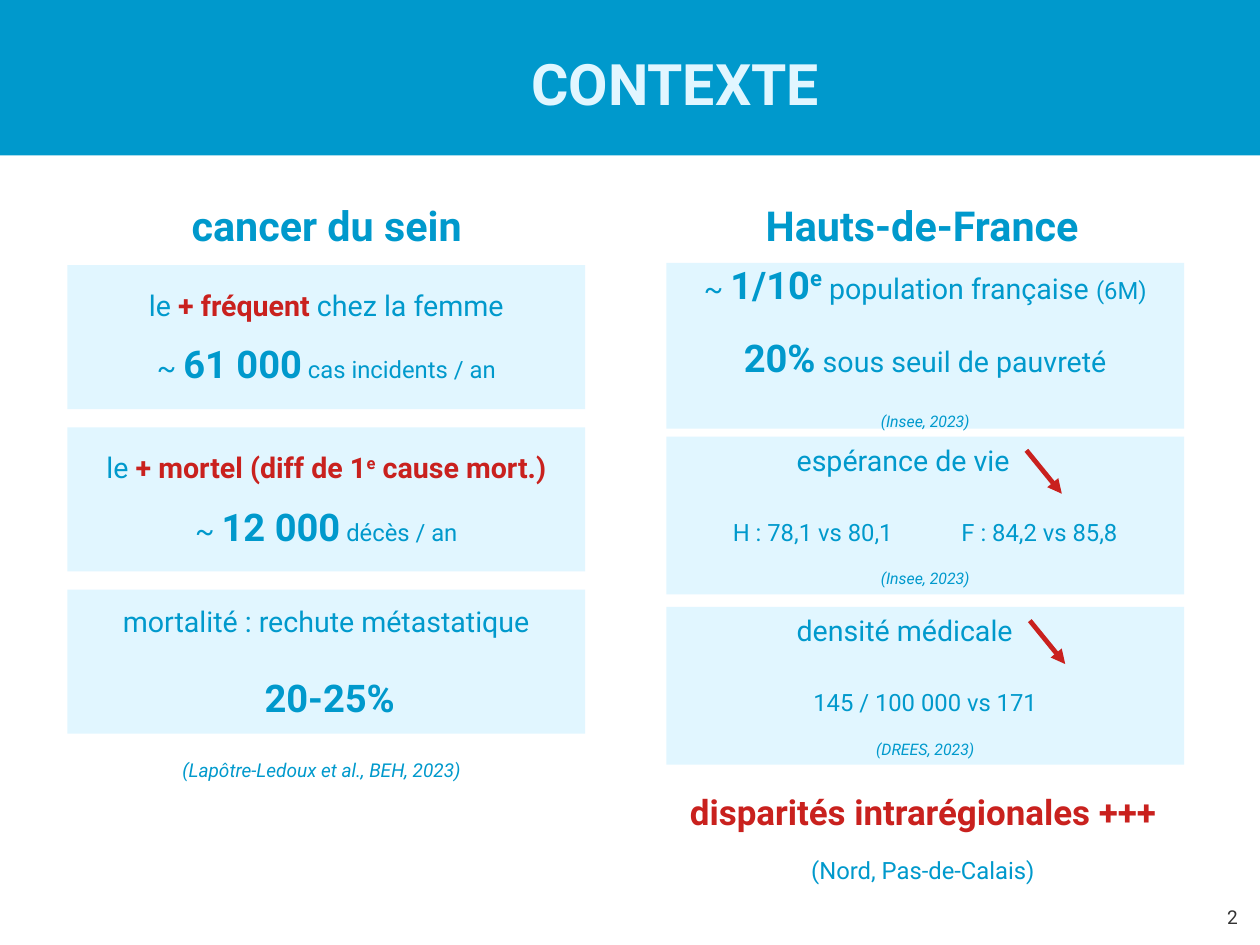
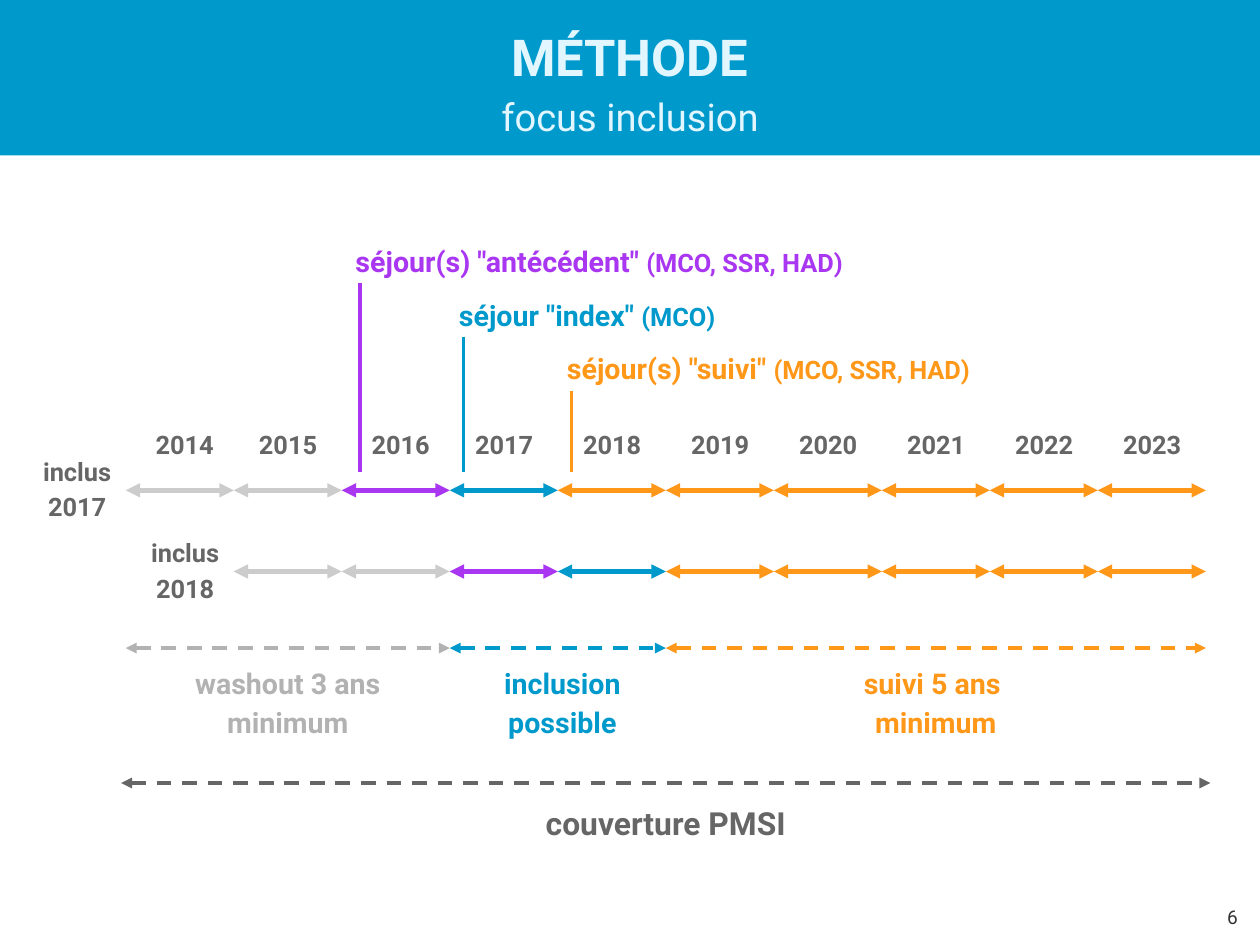
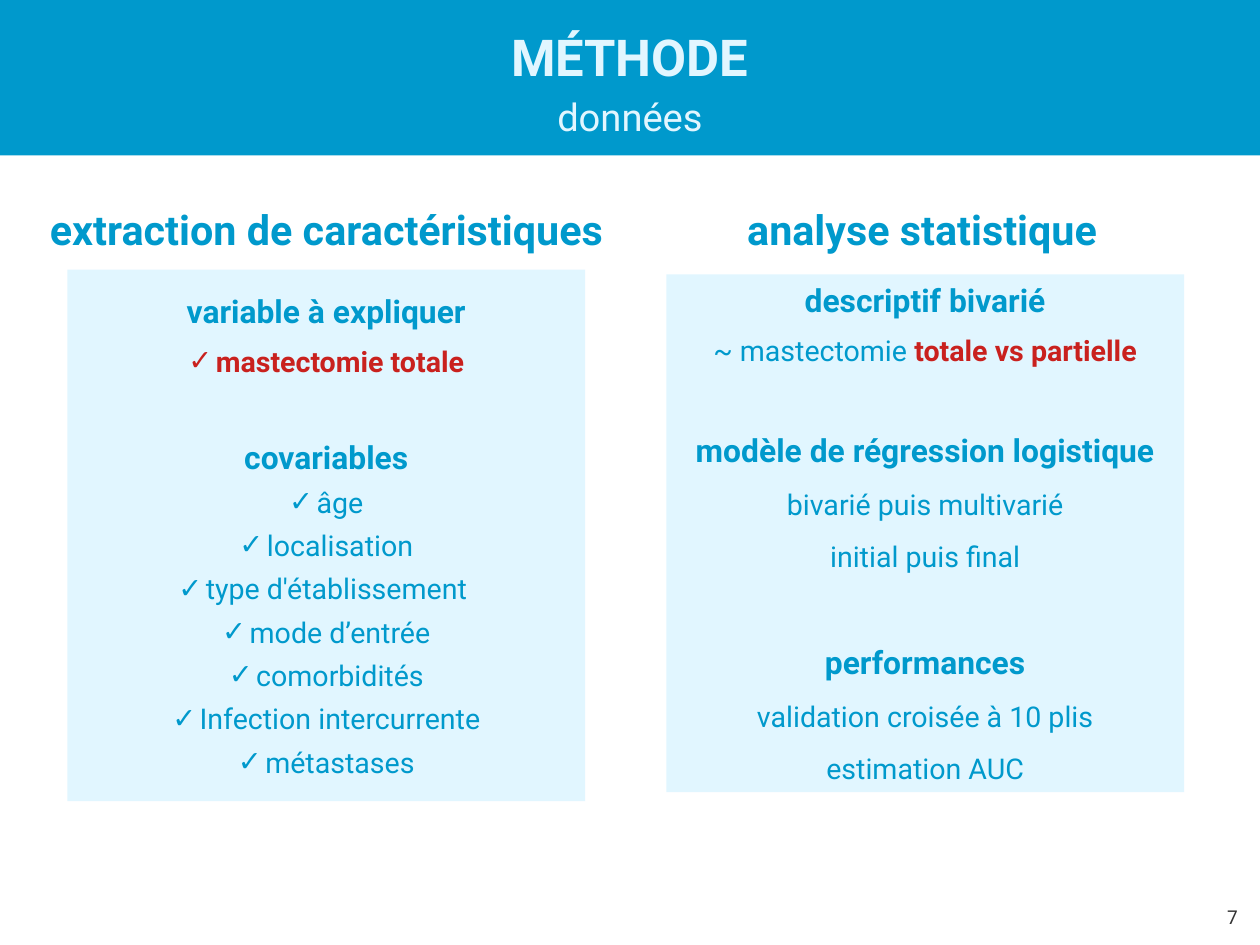
import pptx
import pptx.util
import pptx.dml.color
import pptx.enum.dml
import pptx.enum.shapes
import pptx.enum.text
import pptx.oxml.ns
import lxml.etree

FONT = "Roboto"
BLUE, PALE, RED = "0099CC", "E1F6FF", "C9211E"
ORANGE, PURPLE = "FF9719", "A936F1"
DARK, SILVER, LIGHT, INK = "666666", "B2B2B2", "CCCCCC", "333333"
COLUMNS, COLUMN_WIDTH = (0.59, 5.83), 4.53
HEADING_CENTRES, HEADING_WIDTH = (2.86, 8.07), 5.12

inches, points = pptx.util.Inches, pptx.util.Pt
qn = pptx.oxml.ns.qn
hex_color = pptx.dml.color.RGBColor.from_string
ALIGNMENTS = {
    "l": pptx.enum.text.PP_ALIGN.LEFT,
    "c": pptx.enum.text.PP_ALIGN.CENTER,
    "r": pptx.enum.text.PP_ALIGN.RIGHT,
}
BOTH_ENDS = ("headEnd", "tailEnd")


def add_box(page, left, top, width, height, paragraphs, fill=None):
    """Add a middle-anchored text box, or a rectangle when a fill is given.

    A paragraph is a dict: "runs" holds (text, size, colour, style) tuples, where
    style may contain b (bold), i (italic) and ^ (superscript). Other keys:
    before, after, spacing, align, indent, hanging, bullet (its colour).
    """
    place = [inches(length) for length in (left, top, width, height)]
    if fill:
        box = page.shapes.add_shape(pptx.enum.shapes.MSO_SHAPE.RECTANGLE, *place)
        box.shadow.inherit = False
        box.fill.solid()
        box.fill.fore_color.rgb = hex_color(fill)
        box.line.fill.background()
    else:
        box = page.shapes.add_textbox(*place)
    frame = box.text_frame
    frame.word_wrap = True
    frame.vertical_anchor = pptx.enum.text.MSO_ANCHOR.MIDDLE
    frame.margin_left = frame.margin_right = frame.margin_top = frame.margin_bottom = 0

    for index, content in enumerate(paragraphs):
        para = frame.paragraphs[0] if index == 0 else frame.add_paragraph()
        properties = para._p.get_or_add_pPr()
        properties.set("marL", str(inches(content.get("indent", 0))))
        properties.set("indent", str(inches(content.get("hanging", 0))))
        if "bullet" in content:
            bullet_color = lxml.etree.SubElement(properties, qn("a:buClr"))
            lxml.etree.SubElement(bullet_color, qn("a:srgbClr"), val=content["bullet"])
            lxml.etree.SubElement(properties, qn("a:buFont"), typeface=FONT)
            lxml.etree.SubElement(properties, qn("a:buChar"), char="✓")
        para.alignment = ALIGNMENTS[content.get("align", "c")]
        para.line_spacing = content.get("spacing", 1.0)
        para.space_before = points(content.get("before", 0))
        para.space_after = points(content.get("after", 0))
        for text, size, color, style in content["runs"]:
            for number, piece in enumerate(text.split("\n")):
                if number:
                    para.add_line_break()
                if not piece:
                    continue
                span = para.add_run()
                span.text = piece
                span.font.name = FONT
                span.font.size = points(size)
                span.font.bold = "b" in style
                span.font.italic = "i" in style
                span.font.color.rgb = hex_color(color)
                if "^" in style:
                    span.font._element.set("baseline", "33000")


def add_line(page, start, end, color, weight, ends=(), dashed=False):
    """Draw a straight line; ends names the tips with a triangle (headEnd, tailEnd)."""
    line = page.shapes.add_connector(
        pptx.enum.shapes.MSO_CONNECTOR.STRAIGHT,
        *[inches(length) for length in (*start, *end)])
    line.line.color.rgb = hex_color(color)
    line.line.width = points(weight)
    if dashed:
        line.line.dash_style = pptx.enum.dml.MSO_LINE.DASH
    properties = line._element.spPr
    outline = properties.find(qn("a:ln"))
    for tip in ends:
        lxml.etree.SubElement(outline, qn("a:" + tip), type="triangle")
    lxml.etree.SubElement(properties, qn("a:effectLst"))


deck = pptx.Presentation()
deck.slide_width, deck.slide_height = pptx.util.Cm(28), pptx.util.Cm(21)
page_width = deck.slide_width.inches

# Title band, page number and column headings
page_frames = [
    ([("CONTEXTE", 36, PALE, "b")], 0.79, "2", 1.69,
     ("cancer du sein", "Hauts-de-France")),
    ([("MÉTHODE\n", 32, PALE, "b"), ("focus inclusion", 24, PALE, "")], 0, "6", 0, ()),
    ([("MÉTHODE\n", 32, PALE, "b"), ("données", 24, PALE, "")], 0, "7", 1.73,
     ("extraction de caractéristiques", "analyse statistique")),
]
pages = []
for title, indent, number, heading_top, headings in page_frames:
    page = deck.slides.add_slide(deck.slide_layouts[6])
    add_box(page, 0, 0, page_width, 1.36,
            [{"runs": title, "indent": indent, "spacing": 1.15}], BLUE)
    add_box(page, 8.26, 7.91, 2.57, 0.23,
            [{"runs": [(number, 12, INK, "")], "align": "r"}])
    for centre, heading in zip(HEADING_CENTRES, headings):
        add_box(page, centre - HEADING_WIDTH / 2, heading_top, HEADING_WIDTH, 0.55,
                [{"runs": [(heading, 26, BLUE, "b")]}])
    pages.append(page)
context, inclusion, data = pages

# Context: breast cancer figures
cancer_panels = [
    [{"runs": [("le ", 18, BLUE, ""), ("+ fréquent", 18, RED, "b"),
               (" chez la femme", 18, BLUE, "")]},
     {"before": 11.9, "runs": [("~ ", 18, BLUE, ""), ("61 000", 24, BLUE, "b"),
                               (" cas incidents / an", 15, BLUE, "")]}],
    [{"runs": [("le ", 18, BLUE, ""), ("+ mortel (diff de 1", 18, RED, "b"),
               ("e", 18, RED, "b^"), (" cause mort.)", 18, RED, "b")]},
     {"before": 11.9, "runs": [("~ ", 18, BLUE, ""), ("12 000", 24, BLUE, "b"),
                               (" décès / an", 15, BLUE, "")]}],
    [{"after": 8.5, "runs": [("mortalité : rechute métastatique", 18, BLUE, "")]},
     {"before": 14.2, "indent": 0.06, "runs": [("20-25%", 24, BLUE, "b")]}],
]
for row, panel in enumerate(cancer_panels):
    add_box(context, COLUMNS[0], 2.32 + 1.42 * row, COLUMN_WIDTH, 1.26, panel, PALE)
add_box(context, 0.55, 6.46, COLUMN_WIDTH, 0.55,
        [{"runs": [("(Lapôtre-Ledoux et al., BEH, 2023)", 12, BLUE, "i")]}])

# Context: regional figures
insee = {"before": 14.2, "runs": [("(Insee, 2023)", 10, BLUE, "i")]}
drees = {"before": 14.2, "runs": [("(DREES, 2023)", 10, BLUE, "i")]}
add_box(context, COLUMNS[1], 2.3, COLUMN_WIDTH, 1.45, [
    {"after": 5.7, "runs": [
        ("~ ", 18, BLUE, ""), ("1/10", 24, BLUE, "b"), ("e", 24, BLUE, "b^"),
        (" population française ", 18, BLUE, ""), ("(6M)", 15, BLUE, "")]},
    {"before": 11.3, "after": 5.7, "runs": [
        ("20%", 24, BLUE, "b"), (" sous seuil de pauvreté", 18, BLUE, "")]},
    insee], PALE)
declines = [
    (3.82, "espérance de vie", 8.98, "H : 78,1 vs 80,1\t\tF : 84,2 vs 85,8", insee),
    (5.31, "densité médicale", 9.01, "145 / 100 000 vs 171", drees),
]
for top, label, arrow_left, figures, source in declines:
    add_box(context, COLUMNS[1], top, COLUMN_WIDTH, 1.38, [
        {"align": "l", "indent": 1.14, "after": 5.7, "runs": [(label, 18, BLUE, "")]},
        {"before": 19.8, "runs": [(figures, 15, BLUE, "")]},
        source], PALE)
    add_line(context, (arrow_left, top + 0.12), (arrow_left + 0.31, top + 0.5),
             RED, 3, ["tailEnd"])
add_box(context, COLUMNS[1], 6.6, 4.49, 1.4, [
    {"spacing": 1.15, "after": 2.8,
     "runs": [("disparités intrarégionales +++", 22, RED, "b")]},
    {"before": 11.3, "runs": [("(Nord, Pas-de-Calais)", 15, BLUE, "")]}])

# Inclusion: timeline with one column per year
first_year, year_count = 2014, 10
start, end = 1.1, 10.55
step = (end - start) / year_count
edges = [start + step * column for column in range(year_count + 1)]
label_lefts = [edges[column] + (0.16 if column in (0, 2) else 0.12)
               for column in range(year_count)]
for column, left in enumerate(label_lefts):
    add_box(inclusion, left, 3.56, 0.71, 0.61, [
        {"spacing": 1.15, "runs": [(str(first_year + column), 16, DARK, "b")]}])

phases = [LIGHT, LIGHT, PURPLE, BLUE] + [ORANGE] * 6
for offset, (label, middle) in enumerate([("inclus\n2017", 4.29), ("inclus\n2018", 5)]):
    add_box(inclusion, edges[offset] - 0.82, middle - 0.42, 0.79, 0.78,
            [{"spacing": 1.15, "runs": [(label, 16, DARK, "b")]}])
    for column in range(offset, year_count):
        add_line(inclusion, (edges[column], middle), (edges[column + 1], middle),
                 phases[column - offset], 3, BOTH_ENDS)

stays = [
    ('séjour(s) "antécédent" ', "(MCO, SSR, HAD)", PURPLE),
    ('séjour "index" ', "(MCO)", BLUE),
    ('séjour(s) "suivi" ', "(MCO, SSR, HAD)", ORANGE),
]
for row, (label, units, color) in enumerate(stays):
    left, middle = label_lefts[row + 2], 2.26 + 0.47 * row
    add_box(inclusion, left - 0.04, middle - 0.26, 4.65, 0.52, [
        {"align": "l", "spacing": 1.15,
         "runs": [(label, 18, color, "b"), (units, 16, color, "b")]}])
    add_line(inclusion, (left, 4.13), (left, middle + 0.22), color, 2.3)

periods = [
    (0, 3, 0, ["washout 3 ans", "minimum"], SILVER),
    (3, 5, 0.04, ["inclusion possible"], BLUE),
    (5, 10, 0, ["suivi 5 ans ", "minimum"], ORANGE),
]
for first, last, shift, labels, color in periods:
    left, right = edges[first], edges[last]
    add_line(inclusion, (left, 5.67), (right, 5.67), color, 2.3, BOTH_ENDS, True)
    add_box(inclusion, left + shift, 5.67, right - left, 0.91,
            [{"spacing": 1.15, "runs": [(label, 18, color, "b")]} for label in labels])
add_line(inclusion, (start - 0.04, 6.85), (end + 0.04, 6.85), DARK, 2.3, BOTH_ENDS, True)
add_box(inclusion, start, 6.87, end - start, 0.61,
        [{"spacing": 1.15, "runs": [("couverture PMSI", 20, DARK, "b")]}])

# Data: variables and analysis
check = {"indent": 0.24, "hanging": -0.24, "before": 5.7}
covariables = ["âge", "localisation", "type d'établissement ", "mode d’entrée",
               "comorbidités", "Infection intercurrente", "métastases"]
variables = [
    {"after": 2.8, "runs": [("variable à expliquer", 20, BLUE, "b")]},
    {**check, "after": 2.8, "bullet": RED,
     "runs": [("mastectomie totale", 18, RED, "b")]},
    {"before": 34.8, "runs": [("covariables", 20, BLUE, "b")]},
]
for name in covariables:
    variables.append({**check, "bullet": BLUE, "runs": [(name, 18, BLUE, "")]})
add_box(data, COLUMNS[0], 2.36, COLUMN_WIDTH, 4.65, variables, PALE)

analysis = [
    {"after": 2.8, "runs": [("descriptif bivarié", 20, BLUE, "b")]},
    {"before": 5.7, "after": 2.8, "runs": [
        ("~ mastectomie ", 18, BLUE, ""), ("totale vs partielle", 18, RED, "b")]},
]
models = [
    (37.6, "modèle de régression logistique",
     ("bivarié puis multivarié", "initial puis final")),
    (40.9, "performances", ("validation croisée à 10 plis", "estimation AUC")),
]
for gap, heading, steps in models:
    analysis.append({"before": gap, "after": 2.8, "runs": [(heading, 20, BLUE, "b")]})
    for name in steps:
        analysis.append({"before": 8.5, "after": 2.8, "runs": [(name, 18, BLUE, "")]})
add_box(data, COLUMNS[1], 2.4, COLUMN_WIDTH, 4.53, analysis, PALE)

deck.save("out.pptx")
